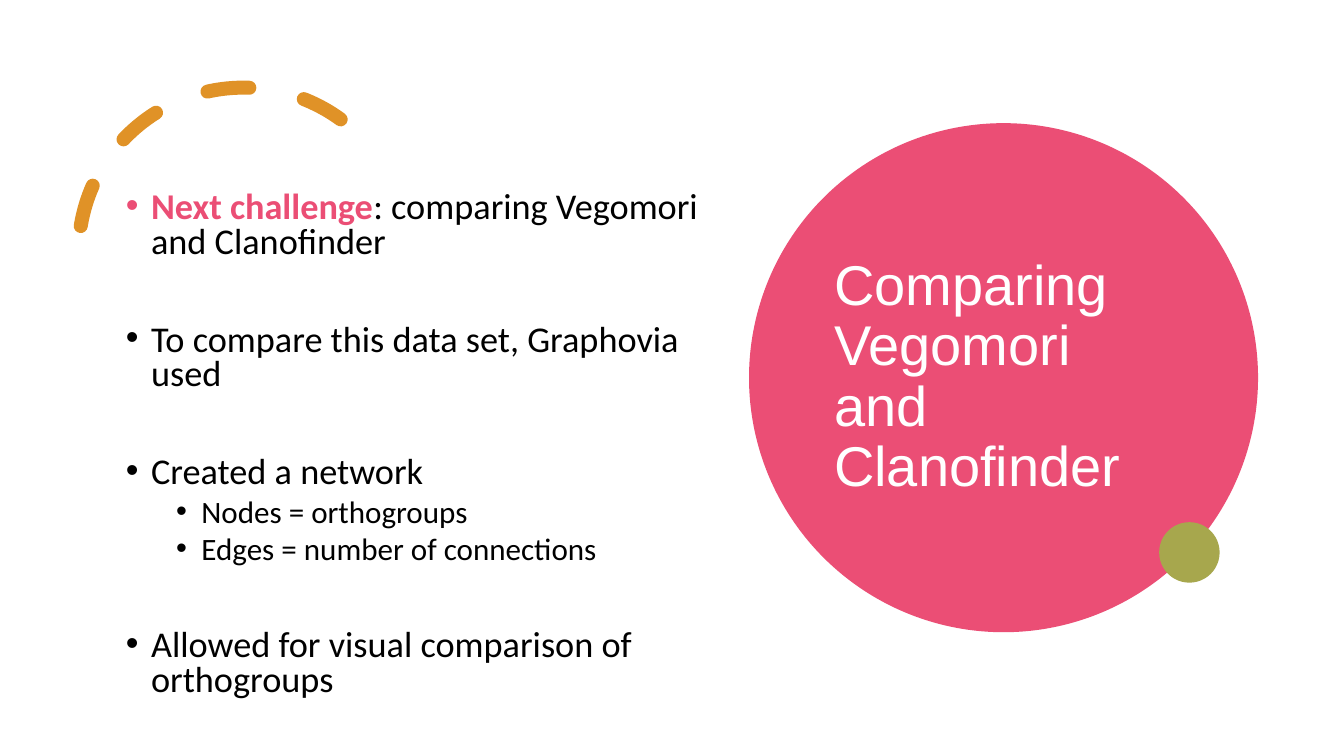
from lxml.etree import SubElement
from pptx import Presentation
from pptx.dml.color import RGBColor
from pptx.enum.dml import MSO_LINE
from pptx.enum.shapes import MSO_SHAPE
from pptx.enum.text import MSO_ANCHOR, MSO_AUTO_SIZE, PP_ALIGN
from pptx.oxml.ns import qn
from pptx.util import Pt

TITLE = "Comparing Vegomori and Clanofinder"
# Each point: level, bold lead, text
POINTS = [
    (0, "Next challenge", ": comparing Vegomori and Clanofinder"),
    (0, "", "To compare this data set, Graphovia used"),
    (0, "", "Created a network"),
    (1, "", "Nodes = orthogroups"),
    (1, "", "Edges = number of connections"),
    (0, "", "Allowed for visual comparison of orthogroups"),
]
# Each level: text size, left margin, space before
LEVELS = [(25.9, 18, 45), (22.2, 54, 5.5)]
PINK, OLIVE, ORANGE = "EB4E75", "A7A74D", "E09227"
BLACK, WHITE = "000000", "FFFFFF"


def color(hex):
    return RGBColor.from_string(hex)


def place(shape, *box):
    shape.left, shape.top, shape.width, shape.height = map(Pt, box)


def style(run, font, size, hex, bold=False):
    run.font.name, run.font.size, run.font.bold = font, Pt(size), bold
    run.font.color.rgb = color(hex)


def disc(slide, left, top, size, hex):
    shape = slide.shapes.add_shape(
        MSO_SHAPE.OVAL, Pt(left), Pt(top), Pt(size), Pt(size))
    shape.shadow.inherit = False
    shape.fill.solid()
    shape.fill.fore_color.rgb = color(hex)
    shape.line.fill.background()
    return shape


def bullet(para, left, hex):
    props = para._p.get_or_add_pPr()
    props.set("marL", str(Pt(left)))
    props.set("indent", str(-Pt(18)))
    tint = SubElement(props, qn("a:buClr"))
    SubElement(tint, qn("a:srgbClr"), val=hex)
    SubElement(props, qn("a:buFont"), typeface="Arial")
    SubElement(props, qn("a:buChar"), char="•")


deck = Presentation()
deck.slide_width, deck.slide_height = Pt(960), Pt(540)
slide = deck.slides.add_slide(deck.slide_layouts[5])
title = slide.shapes.title

# Dashed arc
arc = slide.shapes.add_shape(
    MSO_SHAPE.ARC, Pt(56.2), Pt(62.6), Pt(235.4), Pt(235.4))
arc.shadow.inherit = False
arc.rotation = 29.8
arc._element.spPr.find(qn("a:xfrm")).set("flipH", "1")
arc.adjustments[0], arc.adjustments[1] = 158.174, 17.814
arc.fill.background()
arc.line.color.rgb = color(ORANGE)
arc.line.width = Pt(10)
arc.line.dash_style = MSO_LINE.DASH
arc.line._get_or_add_ln().set("cap", "rnd")

# Large disc, kept behind the title
large = disc(slide, 535, 88, 363.6, PINK)
title._element.addprevious(large._element)

# Title
place(title, 588.6, 110, 254.9, 320)
frame = title.text_frame
frame.text = TITLE
frame.word_wrap = True
frame.auto_size = MSO_AUTO_SIZE.NONE
frame.vertical_anchor = MSO_ANCHOR.MIDDLE
head = frame.paragraphs[0]
head.alignment = PP_ALIGN.LEFT
head.line_spacing = 0.9
style(head.runs[0], "Arial", 40, WHITE)

# Bullet points
body = slide.shapes.add_textbox(Pt(82.8), Pt(133.2), Pt(445.7), Pt(397.4))
frame = body.text_frame
frame.word_wrap = True
for i, (level, lead, text) in enumerate(POINTS):
    size, left, gap = LEVELS[level]
    para = frame.paragraphs[0] if i == 0 else frame.add_paragraph()
    para.level = level
    para.line_spacing = 0.8
    para.space_before = Pt(gap if i else 10)
    bullet(para, left, PINK if lead else BLACK)
    for part, hex in ((lead, PINK), (text, BLACK)):
        if part:
            run = para.add_run()
            run.text = part
            style(run, "Calibri", size, hex, part == lead)

# Small disc
disc(slide, 828, 373, 43.2, OLIVE)

deck.save("out.pptx")
